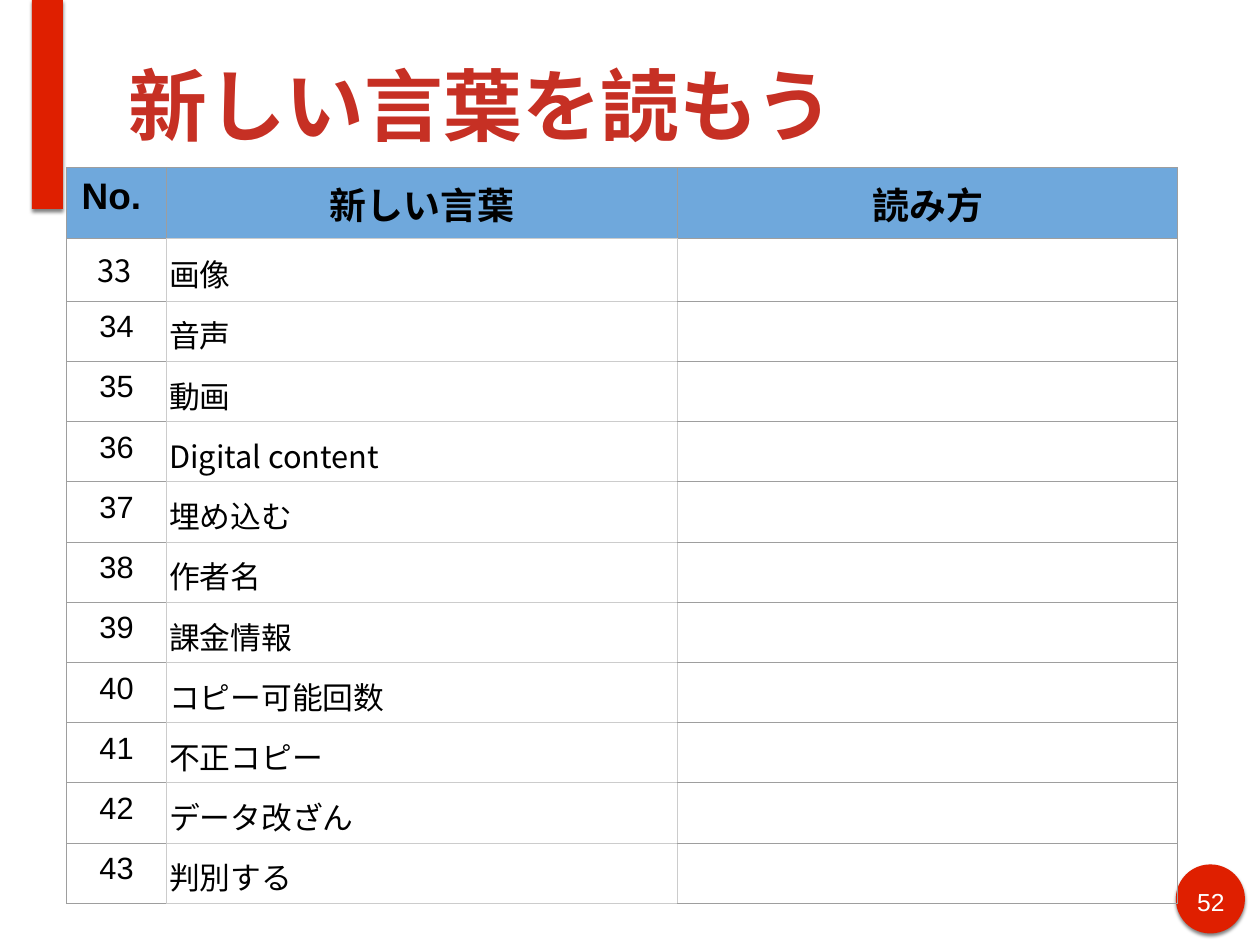
from dataclasses import dataclass

from lxml.etree import SubElement
from pptx import Presentation
from pptx.dml.color import RGBColor
from pptx.enum.shapes import MSO_SHAPE as Preset
from pptx.enum.text import MSO_ANCHOR as Anchor, MSO_AUTO_SIZE as AutoSize, PP_ALIGN as Align
from pptx.oxml.ns import qn
from pptx.util import Inches, Pt


@dataclass(frozen=True)
class Theme:
    red: str = "DF1F00"
    title_red: str = "C63024"
    header_blue: str = "6FA8DC"
    white: str = "FFFFFF"
    black: str = "000000"
    dark_rule: str = "9E9E9E"
    light_rule: str = "CCCCCC"
    latin: str = "Arial"
    japanese: str = "Noto Sans CJK JP"
    title_size: int = 64
    header_size: int = 30
    body_size: int = 25
    number_size: int = 20
    rule_width: float = 0.75


THEME = Theme()
HEADINGS = ("No. ", "新しい言葉", "読み方")
FIRST_NUMBER = 33
WORDS = (
    "画像", "音声", "動画", "Digital content", "埋め込む", "作者名",
    "課金情報", "コピー可能回数", "不正コピー", "データ改ざん", "判別する",
)
COLUMN_WIDTHS = (1.13, 5.77, 5.64)
HEADER_HEIGHT, FIRST_HEIGHT, ROW_HEIGHT = 0.8, 0.71, 0.68


def rgb(value):
    return RGBColor.from_string(value)


def write(paragraph, text, size, color, font=THEME.latin, bold=False, align=Align.LEFT):
    paragraph.alignment = align
    run = paragraph.add_run()
    run.text = text
    run.font.size = Pt(size)
    run.font.bold = bold
    run.font.color.rgb = rgb(color)
    run.font.name = font
    SubElement(run.font._element, qn("a:ea"), typeface=THEME.japanese)


def set_margins(holder, across, down):
    holder.margin_left = holder.margin_right = Inches(across)
    holder.margin_top = holder.margin_bottom = Inches(down)


def add_red_shape(slide, preset, box):
    shape = slide.shapes.add_shape(preset, *map(Inches, box))
    shape.shadow.inherit = False
    shape.fill.solid()
    shape.fill.fore_color.rgb = rgb(THEME.red)
    shape.line.fill.background()
    effects = shape._element.spPr.find(qn("a:effectLst"))
    shadow = SubElement(effects, qn("a:outerShdw"), blurRad=str(Pt(3)), dist=str(Pt(2)),
                        dir="5400000", rotWithShape="0")
    color = SubElement(shadow, qn("a:srgbClr"), val=THEME.black)
    SubElement(color, qn("a:alpha"), val="49000")


def add_page_number(slide, box, number):
    left, top, width, height = box
    add_red_shape(slide, Preset.OVAL, box)
    label = slide.shapes.add_textbox(
        Inches(left + 0.15), Inches(top + 0.19), Inches(width - 0.29), Inches(height - 0.39))
    frame = label.text_frame
    frame.word_wrap = True
    set_margins(frame, 0.06, 0.06)
    write(frame.paragraphs[0], number, THEME.number_size, THEME.white, align=Align.CENTER)


def place_title(slide, box, text):
    title = slide.shapes.title
    title.left, title.top, title.width, title.height = map(Inches, box)
    frame = title.text_frame
    frame.word_wrap = True
    frame.auto_size = AutoSize.NONE
    frame.vertical_anchor = Anchor.MIDDLE
    set_margins(frame, 0.06, 0.06)
    write(frame.paragraphs[0], text, THEME.title_size, THEME.title_red, bold=True)


def style_cell(cell, left, right, top, bottom, fill=None):
    properties = cell._tc.get_or_add_tcPr()
    for side, color in zip("LRTB", (left, right, top, bottom)):
        rule = SubElement(properties, qn(f"a:ln{side}"), w=str(Pt(THEME.rule_width)))
        solid = SubElement(rule, qn("a:solidFill"))
        SubElement(solid, qn("a:srgbClr"), val=color)
    if fill:
        cell.fill.solid()
        cell.fill.fore_color.rgb = rgb(fill)
    else:
        cell.fill.background()


def fill_header(cells):
    dark, light = THEME.dark_rule, THEME.light_rule
    for column, (cell, heading) in enumerate(zip(cells, HEADINGS)):
        set_margins(cell, 0.1, 0.1)
        style_cell(cell, dark, dark, dark, light if column == 1 else dark, THEME.header_blue)
        write(cell.text_frame.paragraphs[0], heading, THEME.header_size, THEME.black,
              bold=True, align=Align.CENTER)


def fill_word_row(cells, number, word):
    dark, light = THEME.dark_rule, THEME.light_rule
    number_cell, word_cell, reading_cell = cells

    set_margins(number_cell, 0.1, 0.1)
    style_cell(number_cell, dark, light, dark, dark)
    number_line = number_cell.text_frame.paragraphs[0]
    if number == FIRST_NUMBER:
        indent = number_line._p.get_or_add_pPr()
        indent.set("marL", str(Inches(0.5)))
        indent.set("indent", str(Inches(-0.25)))
        write(number_line, str(number), THEME.body_size, THEME.black, THEME.japanese)
    else:
        write(number_line, str(number), THEME.body_size, THEME.black, align=Align.CENTER)

    set_margins(word_cell, 0.03, 0.02)
    word_cell.vertical_anchor = Anchor.MIDDLE
    style_cell(word_cell, light, light, light, light, THEME.white)
    word_line = word_cell.text_frame.paragraphs[0]
    word_line.line_spacing = 1.15
    write(word_line, word, THEME.body_size, THEME.black, THEME.japanese)

    style_cell(reading_cell, light, dark, dark, dark)


def add_word_table(slide, left, top):
    heights = [HEADER_HEIGHT, FIRST_HEIGHT] + [ROW_HEIGHT] * (len(WORDS) - 1)
    table = slide.shapes.add_table(
        len(heights), len(COLUMN_WIDTHS), Inches(left), Inches(top),
        Inches(sum(COLUMN_WIDTHS)), Inches(sum(heights))).table
    table.horz_banding = False
    for column, width in zip(table.columns, COLUMN_WIDTHS):
        column.width = Inches(width)
    for row, height in zip(table.rows, heights):
        row.height = Inches(height)
    header, *word_rows = table.rows
    fill_header(header.cells)
    for number, (row, word) in enumerate(zip(word_rows, WORDS), FIRST_NUMBER):
        fill_word_row(row.cells, number, word)


def main():
    deck = Presentation()
    deck.slide_width, deck.slide_height = Inches(14.22), Inches(10.67)
    slide = deck.slides.add_slide(deck.slide_layouts.get_by_name("Title Only"))
    add_page_number(slide, (13.27, 9.76, 0.78, 0.78), "52")
    add_red_shape(slide, Preset.RECTANGLE, (0.36, 0, 0.35, 2.36))
    place_title(slide, (1.39, 0.12, 12.14, 2.12), "新しい言葉を読もう")
    add_word_table(slide, 0.75, 1.89)
    deck.save("out.pptx")


if __name__ == "__main__":
    main()
